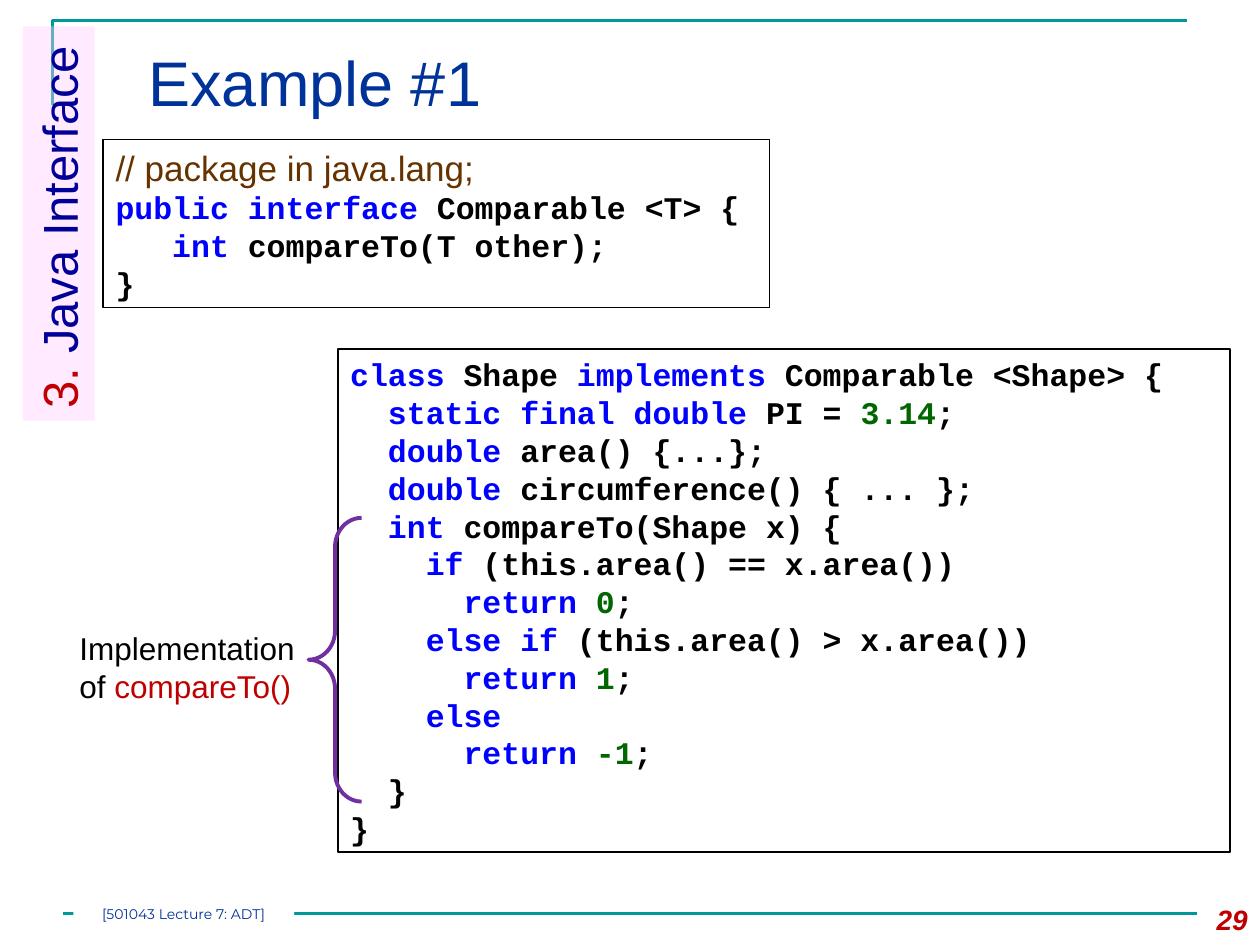
from dataclasses import dataclass

from lxml import etree
from pptx import Presentation
from pptx.dml.color import RGBColor
from pptx.enum.shapes import MSO_CONNECTOR, MSO_SHAPE
from pptx.enum.text import MSO_ANCHOR, PP_ALIGN
from pptx.oxml.ns import qn
from pptx.util import Cm, Pt

RECTANGLE, BRACE = MSO_SHAPE.RECTANGLE, MSO_SHAPE.LEFT_BRACE
STRAIGHT = MSO_CONNECTOR.STRAIGHT
TOP, MIDDLE = MSO_ANCHOR.TOP, MSO_ANCHOR.MIDDLE
LEFT, CENTER, RIGHT = PP_ALIGN.LEFT, PP_ALIGN.CENTER, PP_ALIGN.RIGHT

BLACK = RGBColor(0x00, 0x00, 0x00)
WHITE = RGBColor(0xFF, 0xFF, 0xFF)
TEAL = RGBColor(0x00, 0x99, 0x99)
TITLE_BLUE = RGBColor(0x00, 0x33, 0x99)
NAVY = RGBColor(0x00, 0x00, 0x99)
RED = RGBColor(0xC0, 0x00, 0x00)
PINK = RGBColor(0xFF, 0xCC, 0xFF)
PURPLE = RGBColor(0x70, 0x30, 0xA0)
KEYWORD = RGBColor(0x00, 0x00, 0xFF)
NUMBER = RGBColor(0x00, 0x66, 0x00)
COMMENT = RGBColor(0x66, 0x33, 0x00)

BODY_FONT, CODE_FONT, FOOTER_FONT = "Arial", "Courier New", "Montserrat"
CODE_SIZE = 18
CODE_CHAR_WIDTH = Pt(CODE_SIZE * 0.6)


@dataclass(frozen=True)
class Box:
    left: float
    top: float
    width: float
    height: float

    def lengths(self) -> tuple:
        return Cm(self.left), Cm(self.top), Cm(self.width), Cm(self.height)


@dataclass(frozen=True)
class Span:
    text: str
    color: RGBColor = BLACK


@dataclass(frozen=True)
class CodeLine:
    indent: int  # in characters
    spans: tuple
    font: str = CODE_FONT
    size: float = CODE_SIZE
    bold: bool = True


def code(indent: int, *spans) -> CodeLine:
    """A line of code; plain strings are black."""
    return CodeLine(indent, tuple(Span(s) if isinstance(s, str) else s for s in spans))


def keyword(text: str) -> Span:
    return Span(text, KEYWORD)


def number(text: str) -> Span:
    return Span(text, NUMBER)


def write(paragraph, spans, *, size: float, font: str = BODY_FONT, bold: bool = False,
          italic: bool = False, align=LEFT, indent: int = 0) -> None:
    paragraph.alignment = align
    if indent:
        paragraph._p.get_or_add_pPr().set("marL", str(indent))
    for span in spans:
        run = paragraph.add_run()
        run.text = span.text
        run.font.name, run.font.size = font, Pt(size)
        run.font.bold, run.font.italic = bold, italic
        run.font.color.rgb = span.color


def add_panel(slide, box: Box, *, kind=RECTANGLE, fill=None, line=None,
              line_width: float = 1, anchor=TOP):
    panel = slide.shapes.add_shape(kind, *box.lengths())
    panel.shadow.inherit = False
    if fill is None:
        panel.fill.background()
    else:
        panel.fill.solid()
        panel.fill.fore_color.rgb = fill
    if line is None:
        panel.line.fill.background()
    else:
        panel.line.color.rgb = line
        panel.line.width = Pt(line_width)
    panel.text_frame.word_wrap = True
    panel.text_frame.vertical_anchor = anchor
    return panel


def add_label(slide, box: Box, spans, *, anchor=TOP, **text_format) -> None:
    frame = slide.shapes.add_textbox(*box.lengths()).text_frame
    frame.word_wrap = True
    frame.vertical_anchor = anchor
    write(frame.paragraphs[0], spans, **text_format)


def add_code_box(slide, box: Box, lines, line_width: float) -> None:
    frame = add_panel(slide, box, line=BLACK, line_width=line_width).text_frame
    for index, line in enumerate(lines):
        paragraph = frame.add_paragraph() if index else frame.paragraphs[0]
        write(paragraph, line.spans, size=line.size, font=line.font, bold=line.bold,
              indent=line.indent * CODE_CHAR_WIDTH)


INTERFACE_CODE = [
    CodeLine(0, (Span("// package in java.lang;", COMMENT),), BODY_FONT, 20, False),
    code(0, keyword("public interface "), "Comparable <T> {"),
    code(3, keyword("int"), " compareTo(T other);"),
    code(0, "}"),
]
SHAPE_CODE = [
    code(0, keyword("class"), " Shape ", keyword("implements"), " Comparable <Shape> {"),
    code(2, keyword("static final double "), "PI = ", number("3.14"), ";"),
    code(2, keyword("double"), " area() {...};"),
    code(2, keyword("double"), " circumference() { ... };"),
    code(2, keyword("int"), " compareTo(Shape x) {"),
    code(4, keyword("if"), " (this.area() == x.area())"),
    code(6, keyword("return "), number("0"), ";"),
    code(4, keyword("else if "), "(this.area() > x.area())"),
    code(6, keyword("return "), number("1"), ";"),
    code(4, keyword("else")),
    code(6, keyword("return "), number("-1"), ";"),
    code(2, "}"),
    code(0, "}"),
]


def main() -> None:
    deck = Presentation()
    deck.slide_width, deck.slide_height = Cm(25.4), Cm(19.05)
    slide = deck.slides.add_slide(deck.slide_layouts[5])

    # Title
    title = slide.shapes.title
    title.left, title.top, title.width, title.height = Box(2.74, 0.64, 22.02, 2.18).lengths()
    title.text_frame.vertical_anchor = MIDDLE
    heading = title.text_frame.paragraphs[0]
    heading.line_spacing = 0.9
    write(heading, [Span("Example #1", TITLE_BLUE)], size=36)

    # Corner rule and footer rule
    outline = slide.shapes.build_freeform(Cm(1.06), Cm(2.12))
    outline.add_line_segments([(Cm(1.06), Cm(0.42)), (Cm(23.92), Cm(0.42))], close=False)
    corner = outline.convert_to_shape()
    corner.shadow.inherit = False
    corner.fill.background()
    footer_rule = slide.shapes.add_connector(STRAIGHT, Cm(1.27), Cm(18.42), Cm(24.13), Cm(18.42))
    etree.SubElement(footer_rule._element.spPr, qn("a:effectLst"))
    for rule in (corner, footer_rule):
        rule.line.color.rgb = TEAL
        rule.line.width = Pt(1.5)

    # Page number
    add_label(slide, Box(23.7, 18.03, 1.7, 1.02), [Span("29", RED)], anchor=MIDDLE,
              size=16, bold=True, italic=True, align=RIGHT)

    # Section name along the left edge
    section = add_panel(slide, Box(-2.79, 3.78, 7.95, 1.45), fill=PINK)
    section.rotation = 270
    pink = section._element.spPr.find(qn("a:solidFill")).find(qn("a:srgbClr"))
    etree.SubElement(pink, qn("a:alpha"), val="40000")
    write(section.text_frame.paragraphs[0],
          [Span("3. ", RED), Span("Java Interface", NAVY)], size=28)

    # Code listings
    add_code_box(slide, Box(2.08, 2.82, 13.44, 3.38), INTERFACE_CODE, 0.75)
    add_code_box(slide, Box(6.81, 7.04, 17.98, 10.13), SHAPE_CODE, 1)

    # Brace and its explanation
    brace = add_panel(slide, Box(6.22, 10.44, 1.07, 5.72), kind=BRACE,
                      line=PURPLE, line_width=2.25)
    brace.adjustments[0], brace.adjustments[1] = 0.545, 0.5
    add_label(slide, Box(1.35, 12.55, 5.08, 1.8),
              [Span("Implementation of "), Span("compareTo()", RED)], size=18)

    # Footer
    footer = add_panel(slide, Box(1.48, 18.2, 4.45, 0.43), fill=WHITE, anchor=MIDDLE).text_frame
    footer.margin_left = footer.margin_right = footer.margin_top = footer.margin_bottom = 0
    write(footer.paragraphs[0], [Span("[501043 Lecture 7: ADT]", TITLE_BLUE)],
          size=8, font=FOOTER_FONT, align=CENTER)

    deck.save("out.pptx")


if __name__ == "__main__":
    main()
